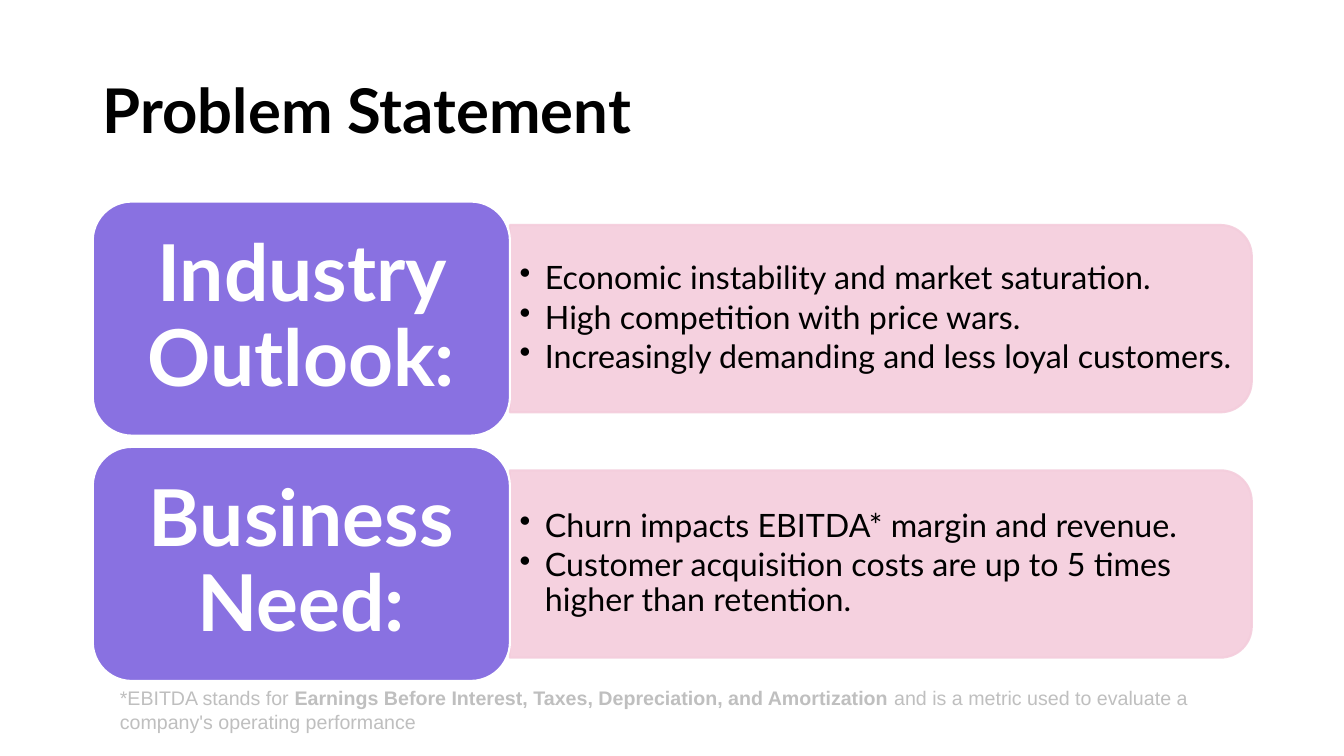
import math
import lxml.etree
import pptx
import pptx.util
import pptx.dml.color
import pptx.enum.shapes
import pptx.enum.text
import pptx.oxml.ns

Pt = pptx.util.Pt
ANCHOR = pptx.enum.text.MSO_ANCHOR
ALIGN = pptx.enum.text.PP_ALIGN

TITLE = "Problem Statement"
SECTIONS = [
    ("Industry Outlook:", [
        "Economic instability and market saturation.",
        "High competition with price wars.",
        "Increasingly demanding and less loyal customers.",
    ]),
    ("Business Need:", [
        "Churn impacts EBITDA* margin and revenue.",
        "Customer acquisition costs are up to 5 times higher than retention.",
    ]),
]
FOOTNOTE = [
    ("*EBITDA stands for ", False),
    ("Earnings Before Interest, Taxes, Depreciation, and Amortization", True),
    (" and is a metric used to evaluate a company's operating performance", False),
]
COLORS = {"text": "000000", "label": "8971E1", "panel": "F4CDDC",
          "white": "FFFFFF", "note": "BFBFBF"}

LEFT, TOP, PITCH = 66.24, 144, 175.25
LABEL_WIDTH, LABEL_HEIGHT, LABEL_RADIUS = 298, 167.2, 27.87
PANEL_WIDTH, PANEL_HEIGHT, PANEL_RADIUS = 529.9, 133.76, 22.3
ARC_STEPS = 16


def color(name):
    return pptx.dml.color.RGBColor.from_string(COLORS[name])


def add_element(parent, tag, attribute, value):
    element = lxml.etree.SubElement(parent, pptx.oxml.ns.qn(tag))
    element.set(attribute, value)


def add_run(paragraph, text, size, color_name, bold=False, font="Lato"):
    run = paragraph.add_run()
    run.text = text
    run.font.name = font
    run.font.size = Pt(size)
    run.font.bold = bold
    run.font.color.rgb = color(color_name)


def prepare_text(shape, margins, anchor=ANCHOR.MIDDLE):
    frame = shape.text_frame
    frame.word_wrap = True
    frame.vertical_anchor = anchor
    (frame.margin_left, frame.margin_top,
     frame.margin_right, frame.margin_bottom) = map(Pt, margins)
    return frame


def paint(shape, fill, line, opacity=100):
    shape.shadow.inherit = False
    shape.fill.solid()
    shape.fill.fore_color.rgb = color(fill)
    shape.line.color.rgb = color(line)
    shape.line.width = Pt(1.5)
    if opacity < 100:
        for element in list(shape._element.spPr.iter(pptx.oxml.ns.qn("a:srgbClr"))):
            add_element(element, "a:alpha", "val", str(opacity * 1000))


def add_bullet(paragraph):
    properties = paragraph._p.get_or_add_pPr()
    properties.set("marL", str(int(Pt(18))))
    properties.set("indent", str(-int(Pt(18))))
    add_element(properties, "a:buChar", "char", "•")


def add_panel(slide, left, top, bullets):
    right, bottom = left + PANEL_WIDTH, top + PANEL_HEIGHT
    corners = [(top + PANEL_RADIUS, -90), (bottom - PANEL_RADIUS, 0)]
    points = []
    for center_y, start in corners:
        for step in range(ARC_STEPS + 1):
            angle = math.radians(start + 90 * step / ARC_STEPS)
            points.append((right - PANEL_RADIUS + PANEL_RADIUS * math.cos(angle),
                           center_y + PANEL_RADIUS * math.sin(angle)))
    points.append((left, bottom))
    builder = slide.shapes.build_freeform(Pt(left), Pt(top))
    builder.add_line_segments([(Pt(x), Pt(y)) for x, y in points], close=True)
    panel = builder.convert_to_shape()
    paint(panel, "panel", "panel", 90)
    frame = prepare_text(panel, (7, 10, 13.5, 10))
    for index, text in enumerate(bullets):
        paragraph = frame.add_paragraph() if index else frame.paragraphs[0]
        paragraph.alignment = ALIGN.LEFT
        paragraph.line_spacing = 0.9
        paragraph.space_after = Pt(3.45)
        add_bullet(paragraph)
        add_run(paragraph, text, 23, "text")


def add_label(slide, left, top, text):
    label = slide.shapes.add_shape(
        pptx.enum.shapes.MSO_SHAPE.ROUNDED_RECTANGLE,
        Pt(left), Pt(top), Pt(LABEL_WIDTH), Pt(LABEL_HEIGHT))
    label.adjustments[0] = LABEL_RADIUS / LABEL_HEIGHT
    paint(label, "label", "white")
    paragraph = prepare_text(label, (17, 8.4, 17, 8.4)).paragraphs[0]
    paragraph.alignment = ALIGN.CENTER
    paragraph.line_spacing = 0.9
    paragraph.space_after = Pt(19.6)
    add_run(paragraph, text, 56, "white", True)


def main():
    presentation = pptx.Presentation()
    presentation.slide_width, presentation.slide_height = Pt(960), Pt(540)
    slide = presentation.slides.add_slide(presentation.slide_layouts[5])

    title = slide.shapes.title
    title.left, title.top, title.width, title.height = map(Pt, (LEFT, 28.8, 828, 104.4))
    paragraph = prepare_text(title, (7.2, 3.6, 7.2, 3.6)).paragraphs[0]
    paragraph.alignment = ALIGN.LEFT
    paragraph.line_spacing = 0.9
    add_run(paragraph, TITLE, 44, "text", True)

    for index, (heading, bullets) in enumerate(SECTIONS):
        top = TOP + index * PITCH
        panel_top = top + (LABEL_HEIGHT - PANEL_HEIGHT) / 2
        add_panel(slide, LEFT + LABEL_WIDTH, panel_top, bullets)
        add_label(slide, LEFT, top, heading)

    note = slide.shapes.add_textbox(Pt(78.5), Pt(486.5), Pt(803), Pt(41))
    paragraph = prepare_text(note, (7.2, 3.6, 7.2, 3.6), ANCHOR.TOP).paragraphs[0]
    for text, bold in FOOTNOTE:
        add_run(paragraph, text, 14, "note", bold, "Arial")

    presentation.save("out.pptx")


if __name__ == "__main__":
    main()
